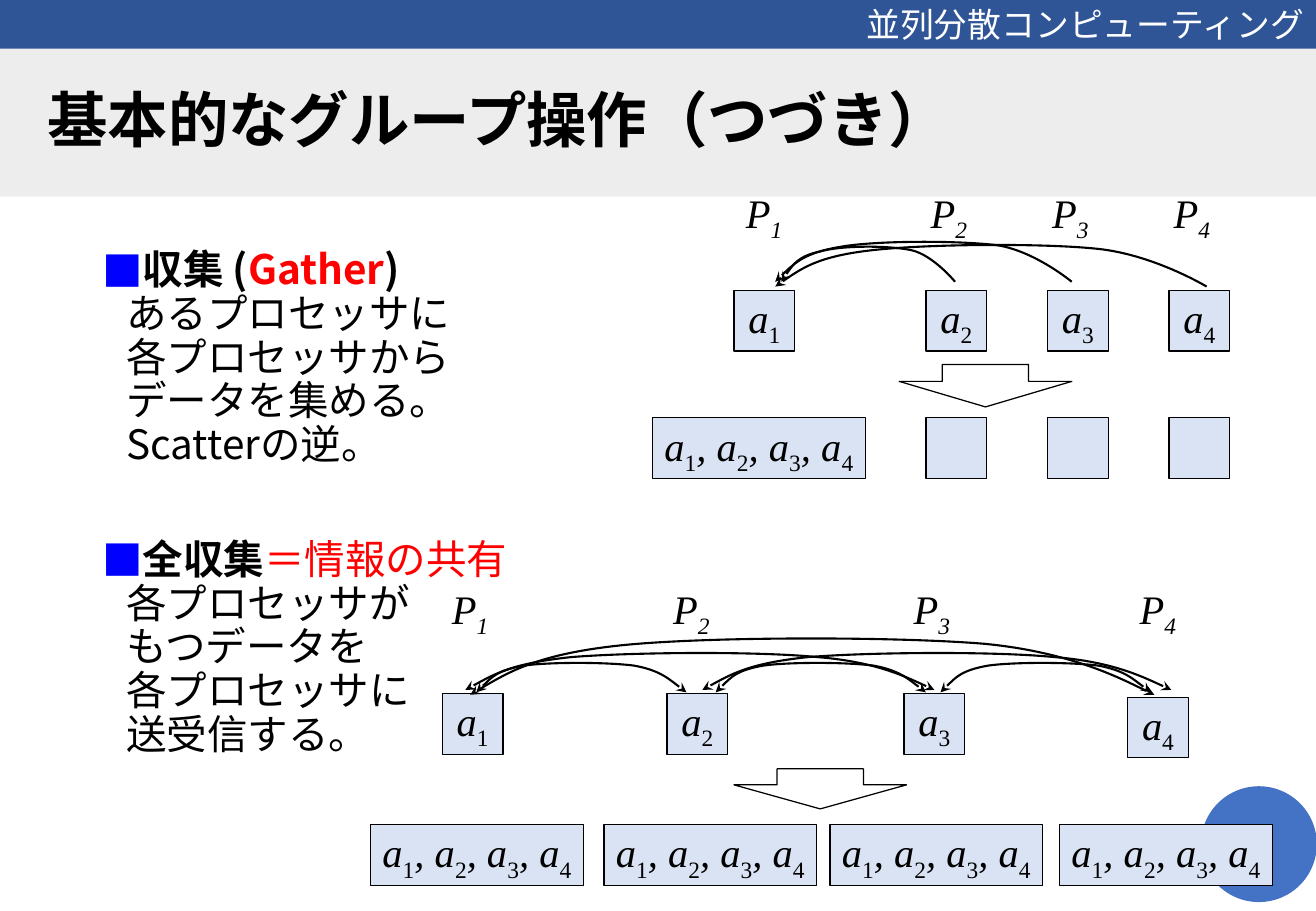
from dataclasses import dataclass

from lxml import etree
from pptx import Presentation
from pptx import util as u
from pptx.dml.color import RGBColor
from pptx.enum import shapes, text
from pptx.oxml import ns

PX = 9144
BLACK = RGBColor(0x00, 0x00, 0x00)
WHITE = RGBColor(0xFF, 0xFF, 0xFF)
RED = RGBColor(0xFF, 0x00, 0x00)
NAVY = RGBColor(0x2F, 0x55, 0x97)
BLUE = RGBColor(0x44, 0x72, 0xC4)
PALE_BLUE = RGBColor(0xDA, 0xE3, 0xF3)
GREY = RGBColor(0xED, 0xED, 0xED)
SANS = "Noto Sans CJK JP"
SERIF = "Times New Roman"
LATO = "Lato"
Offsets = tuple[tuple[int, int], ...]


@dataclass(frozen=True)
class Frame:
    left: int
    top: int
    width: int
    height: int

    def emu(self) -> tuple[int, int, int, int]:
        return self.left * PX, self.top * PX, self.width * PX, self.height * PX


@dataclass(frozen=True)
class Piece:
    words: str
    bold: bool = False
    colour: RGBColor = BLACK


@dataclass(frozen=True)
class Cell:
    left: int
    top: int
    indices: tuple[int, ...] = ()


@dataclass(frozen=True)
class Label:
    left: int
    top: int
    index: int


@dataclass(frozen=True)
class Arc:
    left: int
    top: int
    bends: Offsets
    two_way: bool = True


ALL = (1, 2, 3, 4)
GATHER_LEFTS = (762, 862, 962)
SHARE_LEFTS = (364, 549, 744, 928)
CELLS = (
    [Cell(537, 344, ALL), Cell(604, 239, (1,))]
    + [Cell(left, 344) for left in GATHER_LEFTS]
    + [Cell(left, 239, (i,)) for i, left in enumerate(GATHER_LEFTS, 2)]
    + [Cell(left, 574 if i == 4 else 571, (i,)) for i, left in enumerate(SHARE_LEFTS, 1)]
    + [Cell(left, 679, ALL) for left in (305, 497, 683, 872)]
)
LABELS = (
    [Label(left, 150, i) for i, left in enumerate((604, 756, 856, 956), 1)]
    + [Label(left, 476, i) for i, left in enumerate((362, 544, 742, 928), 1)]
)
NEXT_BENDS: Offsets = ((9, -9), (17, -18), (39, -22), (60, -25), (107, -25),
                       (130, -22), (152, -18), (173, 0))
SECOND_BENDS: Offsets = ((20, -11), (39, -22), (87, -27), (136, -31), (240, -32),
                         (290, -27), (340, -23), (386, 0))
END_BENDS: Offsets = ((28, -17), (57, -34), (127, -41), (198, -48), (350, -48),
                      (423, -42), (496, -35), (563, 0))
ARCS = [
    Arc(638, 236, ((17, -12), (35, -25), (80, -30), (124, -35), (220, -36),
                   (266, -31), (312, -26), (355, 0)), False),
    Arc(638, 232, ((12, -12), (24, -24), (55, -29), (85, -34), (151, -34),
                   (183, -30), (214, -25), (244, 0)), False),
    Arc(643, 232, ((7, -11), (14, -21), (32, -25), (50, -30), (88, -30),
                   (107, -26), (125, -22), (143, 0)), False),
    Arc(387, 572, END_BENDS),
    *(Arc(left, 568, SECOND_BENDS) for left in (383, 578)),
    *(Arc(left, 570, NEXT_BENDS) for left in (392, 589, 774)),
]
DOWN_ARROWS = (Frame(740, 300, 142, 35), Frame(604, 633, 142, 33))
OPERATIONS = (
    (Piece("収集 (", True), Piece("Gather", True, RED), Piece(")\n", True),
     Piece("あるプロセッサに\n各プロセッサから\nデータを集める。\nScatterの逆。")),
    (Piece("全収集", True), Piece("＝情報の共有\n", False, RED),
     Piece("各プロセッサが\nもつデータを\n各プロセッサに\n送受信する。")),
)


def add_span(para, words: str, size: float, face: str, colour: RGBColor = BLACK,
             bold: bool = False, italic: bool = False, subscript: bool = False) -> None:
    span = para.add_run()
    span.text = words
    font = span.font
    font.size, font.name, font.bold, font.italic = u.Pt(size), face, bold, italic
    font.color.rgb = colour
    east = etree.SubElement(font._element, ns.qn("a:ea"))
    east.set("typeface", SANS)
    if subscript:
        font._element.set("baseline", "-25000")


def add_box(page, kind, frame: Frame, fill: RGBColor, line: RGBColor | None = None,
            weight: float = 0.75):
    box = page.shapes.add_shape(kind, *frame.emu())
    box.shadow.inherit = False
    box.fill.solid()
    box.fill.fore_color.rgb = fill
    if line is None:
        box.line.fill.background()
    else:
        box.line.color.rgb = line
        box.line.width = u.Pt(weight)
    return box


def place(holder, frame: Frame) -> None:
    holder.left, holder.top, holder.width, holder.height = frame.emu()


def fill_title(page) -> None:
    title = page.shapes.title
    place(title, Frame(0, 40, 1083, 122))
    title.fill.solid()
    title.fill.fore_color.rgb = GREY
    frame = title.text_frame
    frame.auto_size = text.MSO_AUTO_SIZE.NONE
    frame.vertical_anchor = text.MSO_ANCHOR.MIDDLE
    frame.margin_left = 39 * PX
    para = frame.paragraphs[0]
    para.alignment = text.PP_ALIGN.LEFT
    para.line_spacing = 0.9
    add_span(para, "基本的なグループ操作（つづき）", 35.8, SANS, bold=True)


def add_bullet(para) -> None:
    props = para._p.get_or_add_pPr()
    props.set("marL", str(20 * PX))
    props.set("indent", str(-20 * PX))
    colour = etree.SubElement(props, ns.qn("a:buClr"))
    etree.SubElement(colour, ns.qn("a:srgbClr")).set("val", "0000FF")
    etree.SubElement(props, ns.qn("a:buFont")).set("typeface", SANS)
    etree.SubElement(props, ns.qn("a:buChar")).set("char", "■")


def fill_body(page) -> None:
    body = page.placeholders[1]
    place(body, Frame(74, 200, 934, 476))
    frame = body.text_frame
    frame.auto_size = text.MSO_AUTO_SIZE.NONE
    for number, pieces in enumerate(OPERATIONS):
        para = frame.add_paragraph() if number else frame.paragraphs[0]
        add_bullet(para)
        para.line_spacing = u.Pt(25.9)
        para.space_before = u.Pt(42.2 if number else 0)
        for piece in pieces:
            for row, words in enumerate(piece.words.split("\n")):
                if row:
                    para.add_line_break()
                if words:
                    add_span(para, words, 24, SANS, piece.colour, piece.bold)


def draw_cell(page, cell: Cell) -> None:
    width = 175 if len(cell.indices) > 1 else 50
    box = add_box(page, shapes.MSO_SHAPE.RECTANGLE,
                  Frame(cell.left, cell.top, width, 50), PALE_BLUE, BLACK)
    box.text_frame.word_wrap = False
    para = box.text_frame.paragraphs[0]
    para.alignment = text.PP_ALIGN.CENTER
    for place_in_row, index in enumerate(cell.indices):
        add_span(para, ", a" if place_in_row else "a", 24, SERIF, italic=True)
        add_span(para, str(index), 24, SERIF, subscript=True)


def draw_label(page, label: Label) -> None:
    box = page.shapes.add_textbox(*Frame(label.left, label.top, 58, 50).emu())
    box.text_frame.word_wrap = True
    para = box.text_frame.paragraphs[0]
    add_span(para, "P", 24, SERIF, italic=True)
    add_span(para, str(label.index), 24, SERIF, italic=True, subscript=True)


def draw_arc(page, arc: Arc) -> None:
    points = [(arc.left + x, arc.top + y) for x, y in (*arc.bends, arc.bends[-1])]
    builder = page.shapes.build_freeform(arc.left, arc.top, scale=PX)
    builder.add_line_segments(points, close=False)
    curve = builder.convert_to_shape()
    curve.shadow.inherit = False
    curve.fill.background()
    curve.line.color.rgb = BLACK
    curve.line.width = u.Pt(1.25)
    segments = list(curve._element.iter(ns.qn("a:lnTo")))
    for first in range(0, len(segments), 3):
        bezier = etree.Element(ns.qn("a:cubicBezTo"))
        segments[first].addprevious(bezier)
        for segment in segments[first:first + 3]:
            bezier.append(segment[0])
            segment.getparent().remove(segment)
    for end in ("a:headEnd", "a:tailEnd") if arc.two_way else ("a:headEnd",):
        etree.SubElement(curve.line._get_or_add_ln(), ns.qn(end)).set("type", "stealth")


def main() -> None:
    deck = Presentation()
    deck.slide_width, deck.slide_height = 1083 * PX, 750 * PX
    page = deck.slides.add_slide(deck.slide_layouts[1])
    fill_title(page)
    fill_body(page)
    disc = add_box(page, shapes.MSO_SHAPE.OVAL, Frame(989, 648, 94, 94), BLUE, BLUE, 1)
    banner = add_box(page, shapes.MSO_SHAPE.RECTANGLE, Frame(0, -2, 1083, 44), NAVY)
    para = banner.text_frame.paragraphs[0]
    para.alignment = text.PP_ALIGN.RIGHT
    add_span(para, "並列分散コンピューティング", 20, LATO, WHITE)
    for backdrop in (disc, banner):
        page.shapes.title._element.addprevious(backdrop._element)
    for cell in CELLS:
        draw_cell(page, cell)
    for label in LABELS:
        draw_label(page, label)
    for frame in DOWN_ARROWS:
        arrow = add_box(page, shapes.MSO_SHAPE.DOWN_ARROW, frame, WHITE, BLACK)
        arrow.adjustments[1] = 0.6
    for arc in ARCS:
        draw_arc(page, arc)
    deck.save("out.pptx")


if __name__ == "__main__":
    main()
